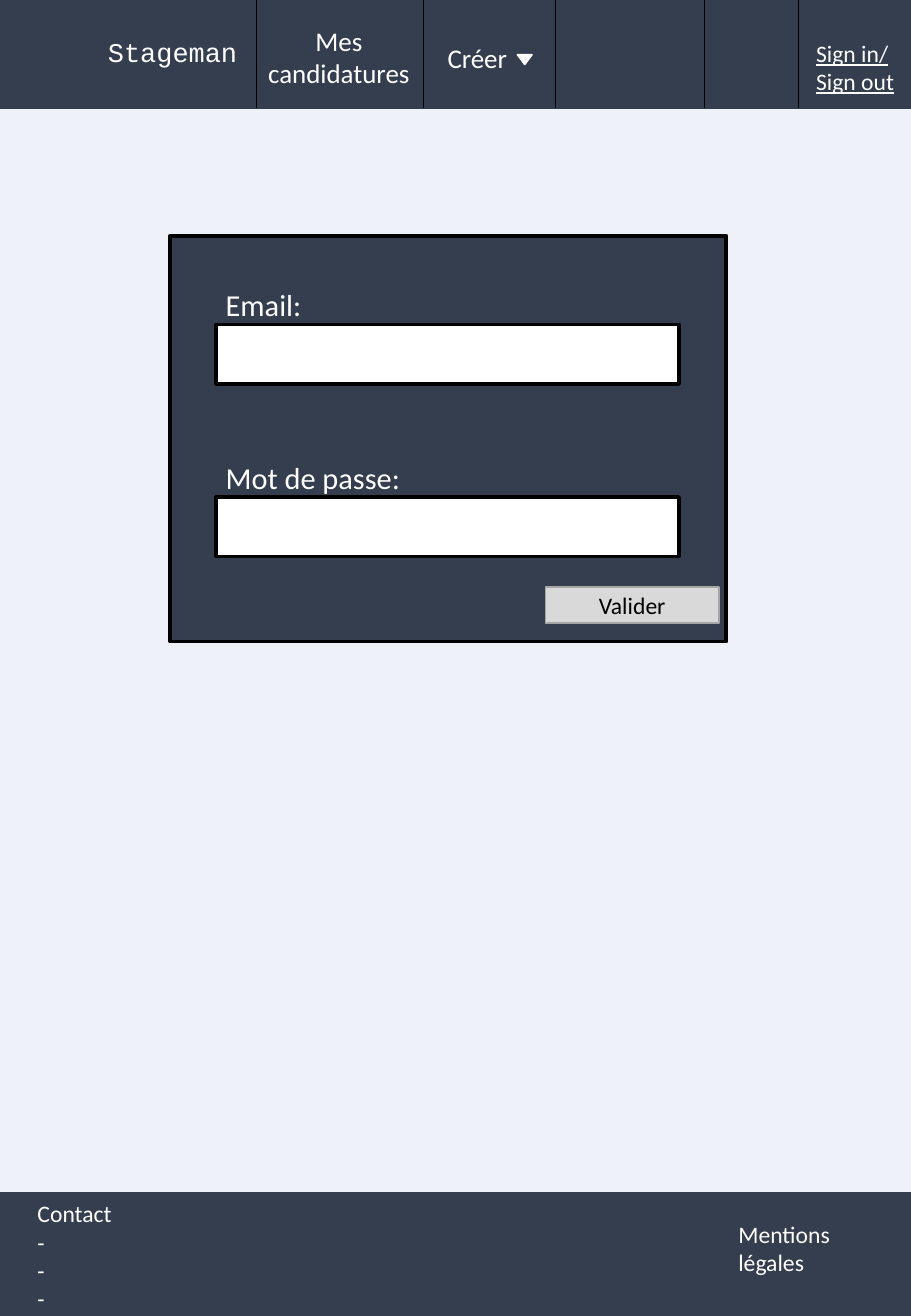
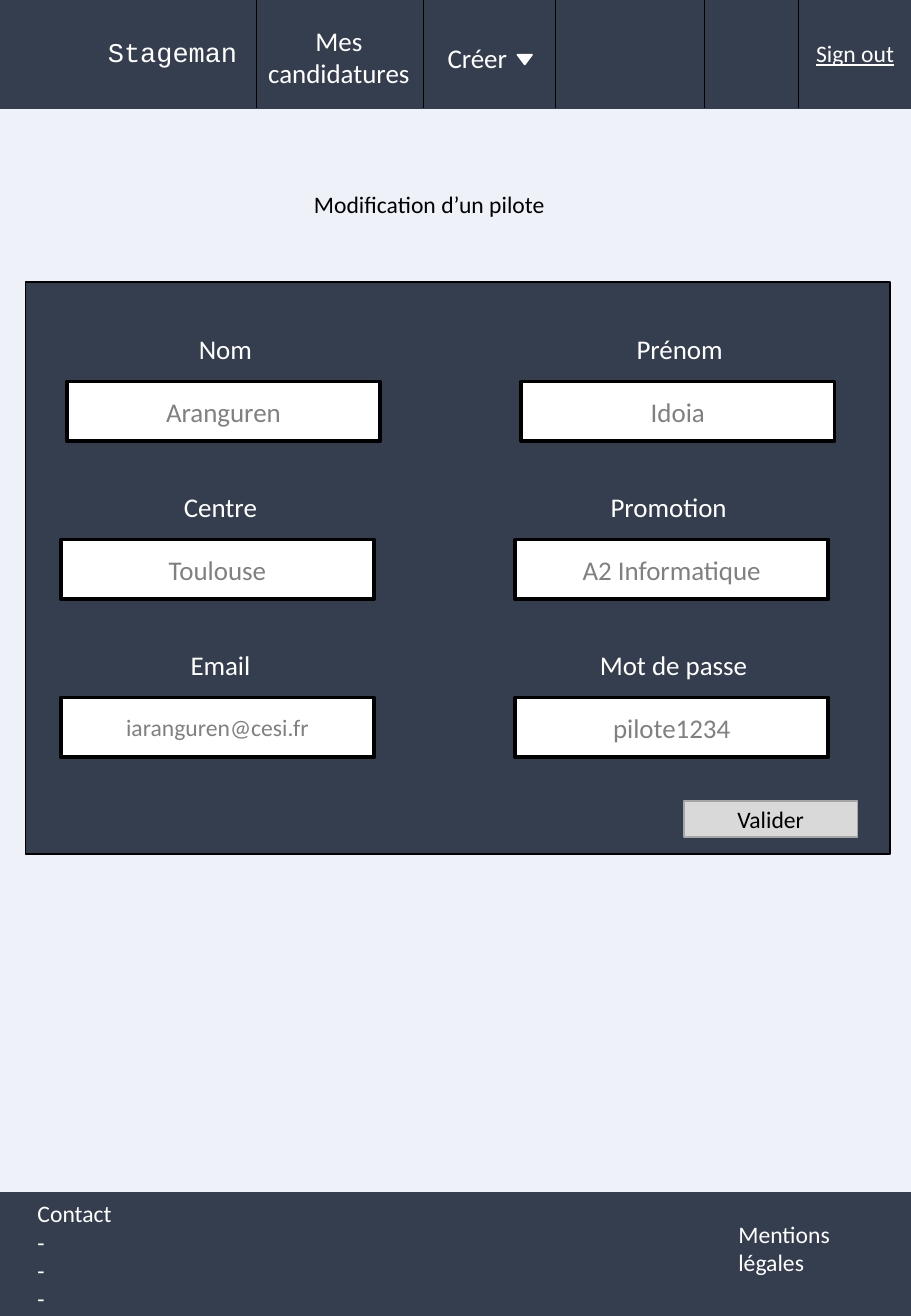
from lxml import etree
from pptx import Presentation
from pptx import util as u
from pptx.dml.color import RGBColor
from pptx.enum import shapes, text
from pptx.oxml.ns import qn

NAVY, PAGE, WHITE, BLACK = "353E4E", "EEF2F8", "FFFFFF", "000000"
BUTTON, BUTTON_EDGE, HINT = "D9D9D9", "A6A6A6", "808080"
WIDTH, HEIGHT = 7.5, 10.83
HEADER_TOP, HEADER_HEIGHT = -0.02, 0.91
LEFT, CENTER = text.PP_ALIGN.LEFT, text.PP_ALIGN.CENTER


def color(value):
    return RGBColor.from_string(value)


class Mockup:
    font = "Calibri"

    def __init__(self):
        self.deck = Presentation()
        self.deck.slide_width = u.Inches(WIDTH)
        self.deck.slide_height = u.Inches(HEIGHT)

    def page(self, account):
        self.slide = self.deck.slides.add_slide(self.deck.slide_layouts[6])
        self.slide.background.fill.solid()
        self.slide.background.fill.fore_color.rgb = color(PAGE)
        self.ungroup()
        self.footer()
        self.header(account)

    def group(self):
        self.target = self.slide.shapes.add_group_shape().shapes

    def ungroup(self):
        self.target = self.slide.shapes

    def add_lines(self, frame, lines, size, ink, align, font=None, underline=None):
        frame.word_wrap = True
        for index, line in enumerate(lines):
            paragraph = frame.add_paragraph() if index else frame.paragraphs[0]
            paragraph.alignment = align
            run = paragraph.add_run()
            run.text = line
            run.font.name = font or self.font
            run.font.size = u.Pt(size)
            run.font.color.rgb = color(ink)
            run.font.underline = underline

    def label(self, x, y, w, h, *lines, size=16, ink=WHITE, align=LEFT, **style):
        box = self.target.add_textbox(*map(u.Inches, (x, y, w, h)))
        self.add_lines(box.text_frame, lines, size, ink, align, **style)
        box.text_frame.auto_size = text.MSO_AUTO_SIZE.SHAPE_TO_FIT_TEXT

    def shape(self, x, y, w, h, fill, edge, weight=1,
              kind=shapes.MSO_SHAPE.RECTANGLE):
        item = self.target.add_shape(kind, *map(u.Inches, (x, y, w, h)))
        item.shadow.inherit = False
        item.fill.solid()
        item.fill.fore_color.rgb = color(fill)
        item.line.color.rgb = color(edge)
        item.line.width = u.Pt(weight)
        return item

    def divider(self, x):
        ends = (x, HEADER_TOP, x, HEADER_TOP + HEADER_HEIGHT)
        line = self.target.add_connector(
            shapes.MSO_CONNECTOR.STRAIGHT, *map(u.Inches, ends))
        line.line.color.rgb = color(BLACK)
        line.line.width = u.Pt(0.5)
        etree.SubElement(line._element.spPr, qn("a:effectLst"))

    def field(self, x, y, w, value=None, size=16):
        box = self.shape(x, y, w, 0.49, WHITE, BLACK, 2.25)
        if value:
            box.text_frame.vertical_anchor = text.MSO_ANCHOR.MIDDLE
            self.add_lines(box.text_frame, [value], size, HINT, CENTER)

    def submit_button(self, x, y):
        button = self.shape(x, y, 1.43, 0.3, BUTTON, BUTTON_EDGE)
        button.text_frame.vertical_anchor = text.MSO_ANCHOR.MIDDLE
        self.add_lines(button.text_frame, ["Valider"], 14, BLACK, CENTER)

    def footer(self):
        self.shape(0, 9.82, WIDTH, 1.01, NAVY, NAVY)
        self.label(0.21, 9.82, 1.31, 1.04, "Contact", "-", "-", "-", size=14)
        self.label(5.98, 9.99, 1.31, 0.57, "Mentions légales", size=14)

    def header(self, account):
        self.group()
        self.shape(0, HEADER_TOP, WIDTH, HEADER_HEIGHT, NAVY, NAVY)
        self.label(6.62, 0.27, 0.88, 0.34, account, size=14, underline=True)
        self.label(0.79, 0.24, 1.62, 0.37, "Stageman", font="Courier New")
        for x in (2.11, 3.49, 4.57, 5.8, 6.57):
            self.divider(x)
        self.label(2.04, 0.15, 1.5, 0.64, "Mes candidatures", align=CENTER)
        self.label(3.5, 0.29, 0.86, 0.37, "Créer", align=CENTER)
        arrow = self.shape(4.26, 0.45, 0.12, 0.08, WHITE, WHITE,
                           kind=shapes.MSO_SHAPE.ISOSCELES_TRIANGLE)
        arrow.rotation = 180
        self.ungroup()


def sign_in(mockup):
    mockup.page("Sign in/ Sign out")
    mockup.shape(1.4, 1.94, 4.58, 3.34, NAVY, BLACK, 2.25)
    for y, caption in ((2.67, "Email:"), (4.09, "Mot de passe:")):
        mockup.field(1.78, y, 3.81)
        mockup.label(1.76, y - 0.36, 3.26, 0.4, caption, size=18)
    mockup.submit_button(4.49, 4.83)


def edit_pilot(mockup):
    mockup.page("Sign out")
    mockup.label(1.81, 1.51, 3.45, 0.34, "Modification d’un pilote",
                 size=14, ink=BLACK, align=CENTER)
    mockup.group()
    mockup.shape(0.21, 2.32, 7.12, 4.71, NAVY, BLACK)
    rows = (
        (0.55, (("Nom", 0.63, "Aranguren", 16),
                ("Prénom", 4.37, "Idoia", 16))),
        (0.5, (("Centre", 0.59, "Toulouse", 16),
               ("Promotion", 4.28, "A2 Informatique", 16))),
        (0.5, (("Email", 0.59, "iaranguren@cesi.fr", 14),
               ("Mot de passe", 4.32, "pilote1234", 16))),
    )
    for row, (left, entries) in enumerate(rows):
        y = 3.14 + 1.3 * row
        for column, (caption, caption_x, value, size) in enumerate(entries):
            mockup.field(left + 3.74 * column, y, 2.58, value, size)
            mockup.label(caption_x, y - 0.45, 2.45, 0.37, caption, align=CENTER)
    mockup.ungroup()
    mockup.submit_button(5.63, 6.59)


def main():
    mockup = Mockup()
    sign_in(mockup)
    edit_pilot(mockup)
    mockup.deck.save("out.pptx")


if __name__ == "__main__":
    main()
